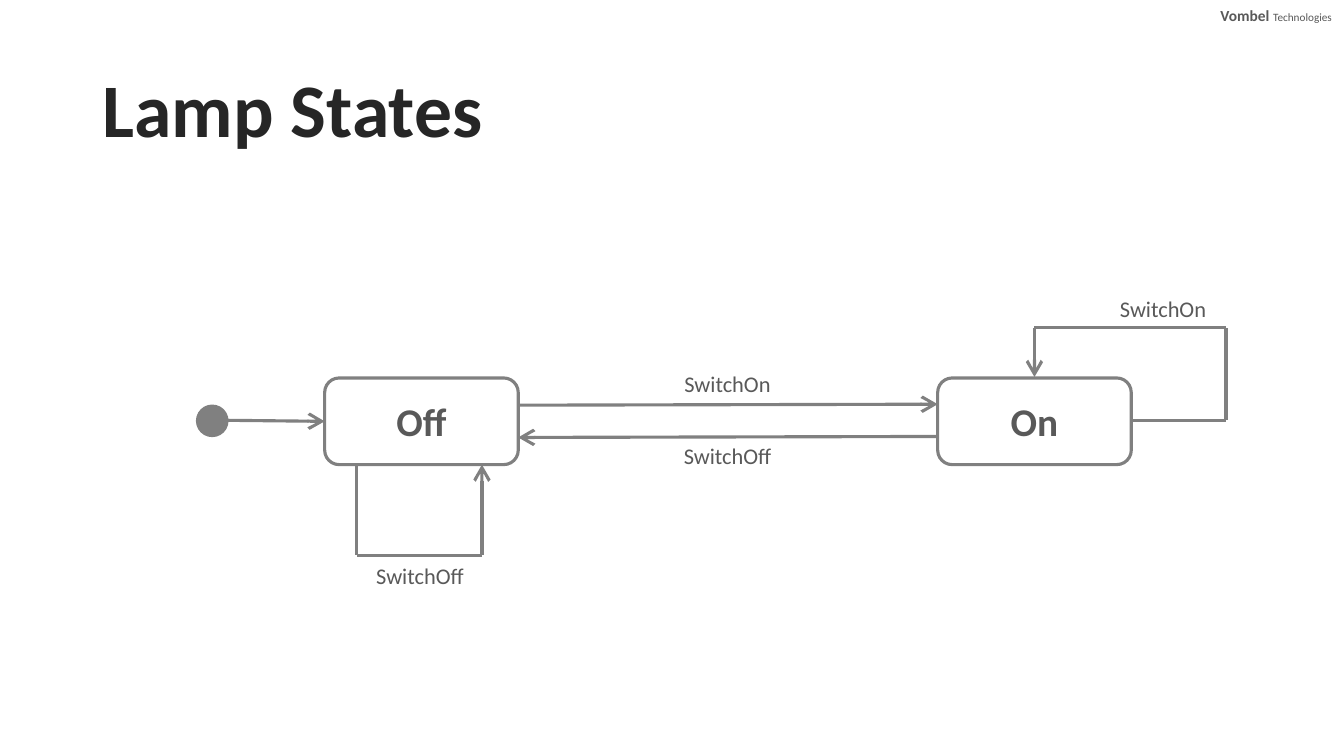
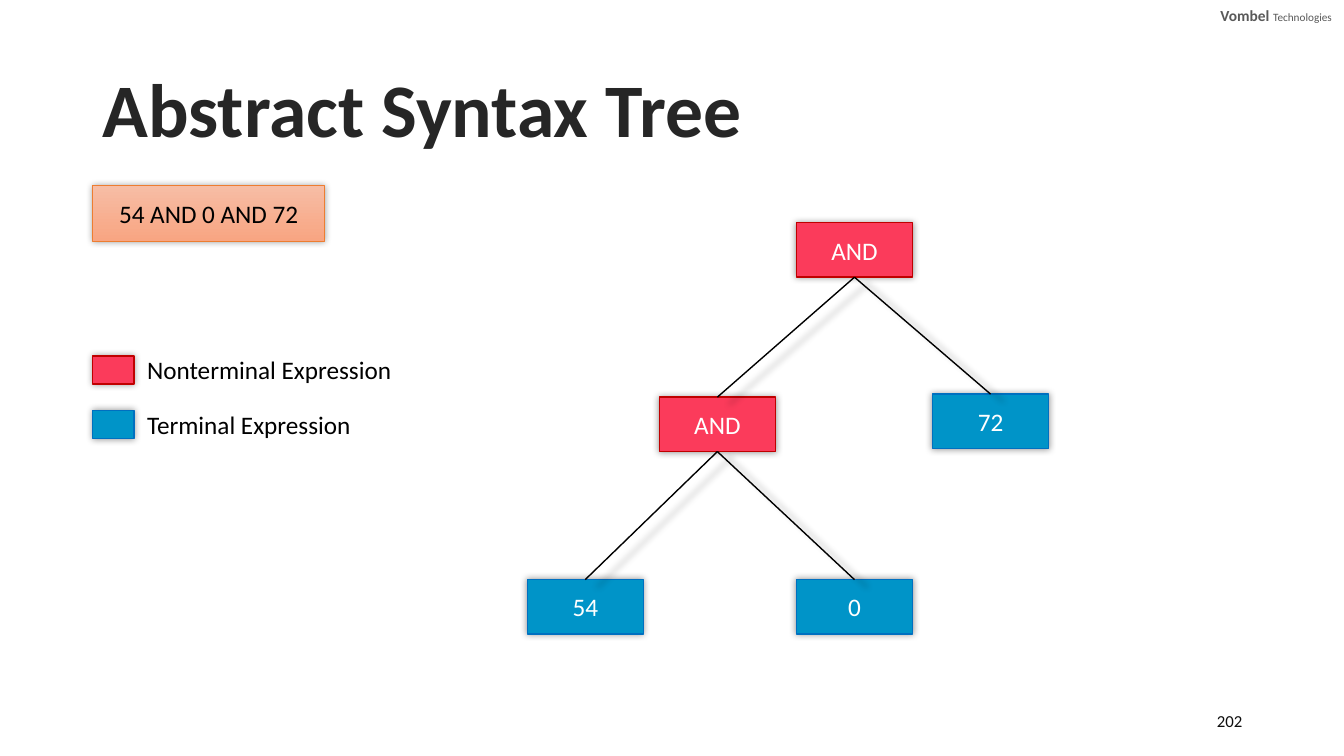
from itertools import pairwise

from pptx import Presentation
from pptx.dml.color import RGBColor
from pptx.enum.shapes import MSO_CONNECTOR, MSO_SHAPE
from pptx.enum.text import MSO_ANCHOR as Anchor, PP_ALIGN as Align
from pptx.oxml import parse_xml
from pptx.oxml.ns import nsdecls, qn
from pptx.util import Inches, Pt


class Theme:
    font = "Calibri"
    title_size, state_size, node_size, label_size = 54, 28, 18, 16
    brand_size, brand_small, number_size = 11, 8, 12
    title, grey_text, number = "262626", "595959", "0D0D0D"
    black, white, stroke = "000000", "FFFFFF", "808080"
    nonterminal = ("FB3B5B", "C00000")
    terminal = ("0094C8", "0070C0")
    sample_fill, sample_line = ("F7BDA5", "F8A582"), "ED7D31"
    shadow = (f'<a:outerShdw {nsdecls("a")} blurRad="{Pt(5)}" dist="%d" dir="1800000">'
              '<a:srgbClr val="000000"><a:alpha val="40000"/></a:srgbClr></a:outerShdw>')


def add_box(page, at, text="", kind=None, size=18, color=Theme.black, bold=False,
            align=Align.CENTER, anchor=Anchor.MIDDLE, wrap=True,
            fill=None, line=None, width=1, shadow=False):
    """Add a preset shape, or a text box when no kind is given."""
    place = [Inches(length) for length in at]
    if kind is None:
        box = page.shapes.add_textbox(*place)
    else:
        box = page.shapes.add_shape(kind, *place)

    # Fill and outline: a pair of colours makes a vertical gradient
    if isinstance(fill, tuple):
        box.fill.gradient()
        box.fill.gradient_angle = 270
        for stop, shade in zip(box.fill.gradient_stops, fill):
            stop.color.rgb = RGBColor.from_string(shade)
    elif fill:
        box.fill.solid()
        box.fill.fore_color.rgb = RGBColor.from_string(fill)
    else:
        box.fill.background()
    if line:
        box.line.color.rgb = RGBColor.from_string(line)
        box.line.width = Pt(width)
    else:
        box.line.fill.background()
    box.shadow.inherit = False
    if shadow:
        effects = box._element.spPr.find(qn("a:effectLst"))
        effects.append(parse_xml(Theme.shadow % 0))

    # Text
    if text:
        frame = box.text_frame
        frame.word_wrap = wrap
        frame.vertical_anchor = anchor
        para = frame.paragraphs[0]
        para.text = text
        para.alignment = align
        font = para.runs[0].font
        font.name, font.size, font.bold = Theme.font, Pt(size), bold
        font.color.rgb = RGBColor.from_string(color)
    return box


def add_line(page, start, end, color, width, arrow=False, shadow=False):
    """Add a straight connector between two points."""
    line = page.shapes.add_connector(
        MSO_CONNECTOR.STRAIGHT, *[Inches(length) for length in (*start, *end)])
    line.line.color.rgb = RGBColor.from_string(color)
    line.line.width = Pt(width)
    if arrow:
        line.line._get_or_add_ln().append(
            parse_xml(f'<a:tailEnd {nsdecls("a")} type="arrow" w="lg" len="lg"/>'))
    effects = parse_xml(f'<a:effectLst {nsdecls("a")}/>')
    if shadow:
        effects.append(parse_xml(Theme.shadow % Inches(0.14)))
    line._element.spPr.append(effects)
    return line


deck = Presentation()
deck.slide_width, deck.slide_height = Inches(13.33), Inches(7.5)

# Shared header: company name and title
pages = []
for title in ("Lamp States", "Abstract Syntax Tree"):
    page = deck.slides.add_slide(deck.slide_layouts[6])
    company = add_box(page, (11.98, 0.01, 1.33, 0.45), "Vombel ", size=Theme.brand_size,
                      color=Theme.grey_text, bold=True, align=Align.RIGHT,
                      anchor=Anchor.TOP)
    span = company.text_frame.paragraphs[0].add_run()
    span.text = "Technologies"
    span.font.name, span.font.size = Theme.font, Pt(Theme.brand_small)
    span.font.color.rgb = RGBColor.from_string(Theme.grey_text)
    heading = add_box(page, (0.92, 0.4, 11.5, 1.45), title, size=Theme.title_size,
                      color=Theme.title, bold=True, align=Align.LEFT)
    heading.text_frame.paragraphs[0].line_spacing = 0.9
    pages.append(page)
lamp_page, tree_page = pages

# Lamp: start point and states
add_box(lamp_page, (1.95, 4.02, 0.31, 0.31), kind=MSO_SHAPE.OVAL,
        fill=Theme.stroke, line=Theme.stroke)
for name, left in (("Off", 3.22), ("On", 9.3)):
    add_box(lamp_page, (left, 3.75, 1.92, 0.86), name, MSO_SHAPE.ROUNDED_RECTANGLE,
            size=Theme.state_size, color=Theme.grey_text, bold=True,
            line=Theme.stroke, width=2.25)

# Lamp: transitions, each a route whose last leg carries the arrowhead
routes = [
    [(2.26, 4.17), (3.22, 4.18)],
    [(5.14, 4.02), (9.3, 4.01)],
    [(9.3, 4.33), (5.14, 4.34)],
    [(11.22, 4.17), (12.16, 4.17), (12.16, 3.25), (10.26, 3.25), (10.26, 3.74)],
    [(3.54, 4.61), (3.54, 5.51), (4.78, 5.51), (4.78, 4.61)],
]
for route in routes:
    for start, end in pairwise(route):
        add_line(lamp_page, start, end, Theme.stroke, 2.25, arrow=end == route[-1])

for event, left, top in (("SwitchOn", 6.49, 3.62), ("SwitchOff", 6.49, 4.34),
                         ("SwitchOn", 10.81, 2.88), ("SwitchOff", 3.44, 5.53)):
    add_box(lamp_page, (left, top, 1.45, 0.37), event, size=Theme.label_size,
            color=Theme.grey_text, anchor=Anchor.TOP)

# Tree: sample expression and page number
add_box(tree_page, (0.92, 1.84, 2.3, 0.55), "54 AND 0 AND 72", MSO_SHAPE.RECTANGLE,
        fill=Theme.sample_fill, line=Theme.sample_line, width=0.5, shadow=True)
add_box(tree_page, (9.42, 6.95, 3, 0.4), "202", size=Theme.number_size,
        color=Theme.number, align=Align.RIGHT)

# Tree: nodes as text, left, top and colours
node_width, node_height = 1.15, 0.54
nodes = {
    "root": ("AND", 7.9, 2.21, Theme.nonterminal),
    "inner": ("AND", 6.54, 3.94, Theme.nonterminal),
    "seventy-two": ("72", 9.25, 3.91, Theme.terminal),
    "fifty-four": ("54", 5.23, 5.75, Theme.terminal),
    "zero": ("0", 7.9, 5.75, Theme.terminal),
}
boxes = {}
for key, (text, left, top, (fill, line)) in nodes.items():
    boxes[key] = add_box(tree_page, (left, top, node_width, node_height), text,
                         MSO_SHAPE.RECTANGLE, size=Theme.node_size, color=Theme.white,
                         fill=fill, line=line, shadow=True)

# Tree: branches from the bottom of a parent to the top of a child
for parent, child in (("root", "inner"), ("root", "seventy-two"),
                      ("inner", "fifty-four"), ("inner", "zero")):
    start = (nodes[parent][1] + node_width / 2, nodes[parent][2] + node_height)
    end = (nodes[child][1] + node_width / 2, nodes[child][2])
    branch = add_line(tree_page, start, end, Theme.black, 1, shadow=True)
    branch.begin_connect(boxes[parent], 2)
    branch.end_connect(boxes[child], 0)

# Tree: legend
legend = (("Nonterminal Expression", Theme.nonterminal), ("Terminal Expression", Theme.terminal))
for row, (text, (fill, line)) in enumerate(legend):
    top = 3.53 + 0.54 * row
    add_box(tree_page, (0.92, top, 0.41, 0.28), kind=MSO_SHAPE.RECTANGLE,
            fill=fill, line=line, shadow=True)
    add_box(tree_page, (1.36, top - 0.06, 2.65, 0.4), text, size=Theme.node_size,
            align=Align.LEFT, wrap=False)

deck.save("out.pptx")
